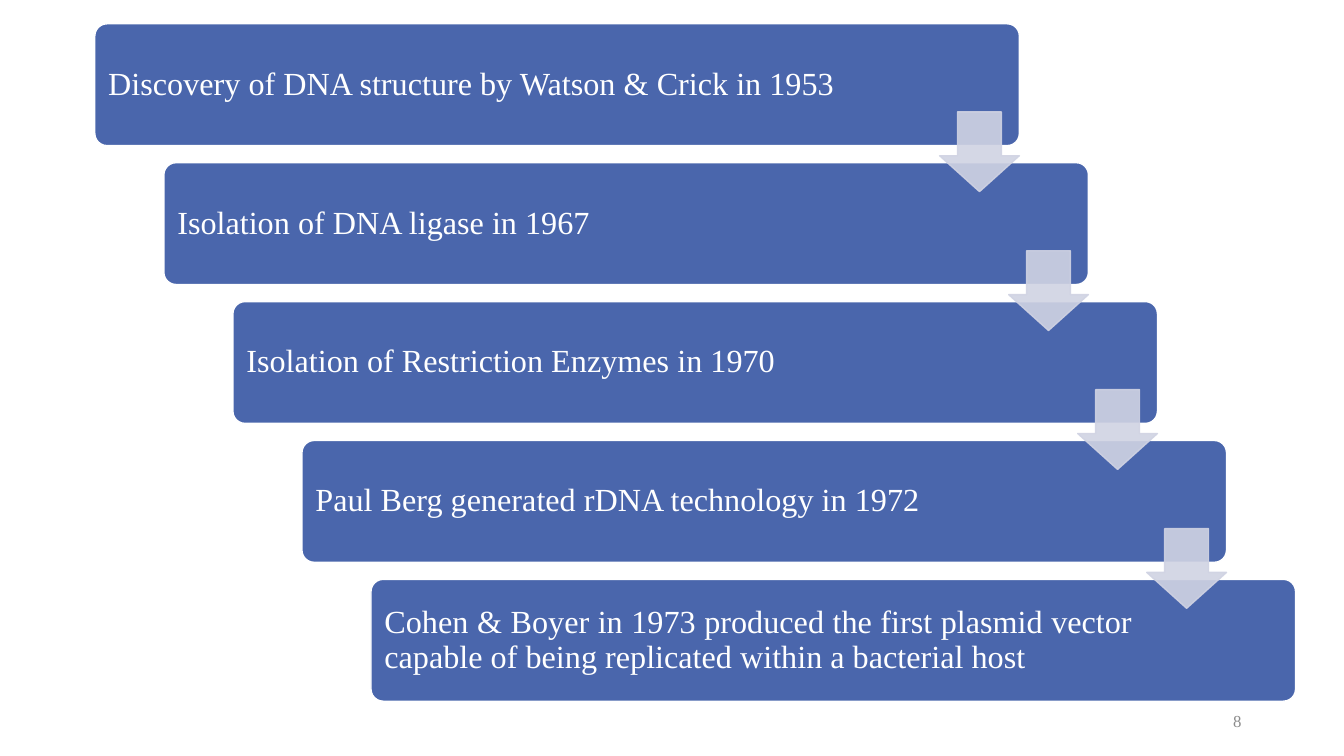
from lxml import etree
from pptx import Presentation
from pptx.dml.color import RGBColor
from pptx.enum.shapes import MSO_SHAPE
from pptx.enum.text import MSO_ANCHOR, PP_ALIGN
from pptx.oxml.ns import qn
from pptx.util import Cm, Pt

MILESTONES = [
    "Discovery of DNA structure by Watson & Crick in 1953",
    "Isolation of DNA ligase in 1967",
    "Isolation of Restriction Enzymes in 1970",
    "Paul Berg generated rDNA technology in 1972",
    "Cohen & Boyer in 1973 produced the first plasmid vector "
    "capable of being replicated within a bacterial host",
]
PAGE_NUMBER = "8"

COLORS = {"step": "4A66AC", "white": "FFFFFF", "arrow": "D0D3E3", "page": "8C8C8C"}
FONT = "Times New Roman"
ROUND_RECT, DOWN_ARROW = MSO_SHAPE.ROUNDED_RECTANGLE, MSO_SHAPE.DOWN_ARROW
MIDDLE, JUSTIFY, RIGHT = MSO_ANCHOR.MIDDLE, PP_ALIGN.JUSTIFY, PP_ALIGN.RIGHT

# Lengths in cm
FIRST_LEFT, FIRST_TOP = 2.39, 0.6
SHIFT_RIGHT, SHIFT_DOWN = 1.74, 3.5
STEP_WIDTH, STEP_HEIGHT = 23.3, 3.07
ARROW_SIZE, ARROW_DROP = 2.01, 2.22
STEP_FRAME = {"word_wrap": True, "vertical_anchor": MIDDLE,
              "margin_left": Cm(0.25), "margin_right": Cm(4),
              "margin_top": Cm(0.25), "margin_bottom": Cm(0.25)}
PAGE_FRAME = {"word_wrap": True, "vertical_anchor": MIDDLE}


def rgb(name):
    return RGBColor.from_string(COLORS[name])


def add_block(slide, kind, box, adjustments, fill, line):
    block = slide.shapes.add_shape(kind, *map(Cm, box))
    block.shadow.inherit = False
    for index, value in enumerate(adjustments):
        block.adjustments[index] = value
    block.fill.solid()
    block.fill.fore_color.rgb = rgb(fill)
    block.line.color.rgb = rgb(line)
    block.line.width = Pt(1)
    return block


def write(frame, text, frame_format, paragraph_format, size, color):
    for name, value in frame_format.items():
        setattr(frame, name, value)
    paragraph = frame.paragraphs[0]
    paragraph.text = text
    for name, value in paragraph_format.items():
        setattr(paragraph, name, value)
    paragraph.font.name = FONT
    paragraph.font.size = Pt(size)
    paragraph.font.color.rgb = rgb(color)


def set_opacity(block, percent):
    """Apply the opacity to both the fill and the outline."""
    for color in block.element.spPr.iter(qn("a:srgbClr")):
        etree.SubElement(color, qn("a:alpha"), val=str(percent * 1000))


def main():
    deck = Presentation()
    deck.slide_width, deck.slide_height = Cm(33.87), Cm(19.05)
    slide = deck.slides.add_slide(deck.slide_layouts[6])

    page = slide.shapes.add_textbox(Cm(23.92), Cm(17.65), Cm(7.62), Cm(1.01))
    write(page.text_frame, PAGE_NUMBER, PAGE_FRAME, {"alignment": RIGHT}, 12, "page")

    corners = [(FIRST_LEFT + i * SHIFT_RIGHT, FIRST_TOP + i * SHIFT_DOWN)
               for i in range(len(MILESTONES))]
    for milestone, (left, top) in zip(MILESTONES, corners):
        step = add_block(slide, ROUND_RECT, (left, top, STEP_WIDTH, STEP_HEIGHT),
                         [0.1], "step", "white")
        write(step.text_frame, milestone, STEP_FRAME,
              {"alignment": JUSTIFY, "line_spacing": 0.9}, 23, "white")

    for left, top in corners[:-1]:
        arrow_left = left + STEP_WIDTH - ARROW_SIZE
        arrow = add_block(slide, DOWN_ARROW,
                          (arrow_left, top + ARROW_DROP, ARROW_SIZE, ARROW_SIZE),
                          [0.55, 0.45], "arrow", "arrow")
        set_opacity(arrow, 90)

    deck.save("out.pptx")


if __name__ == "__main__":
    main()
